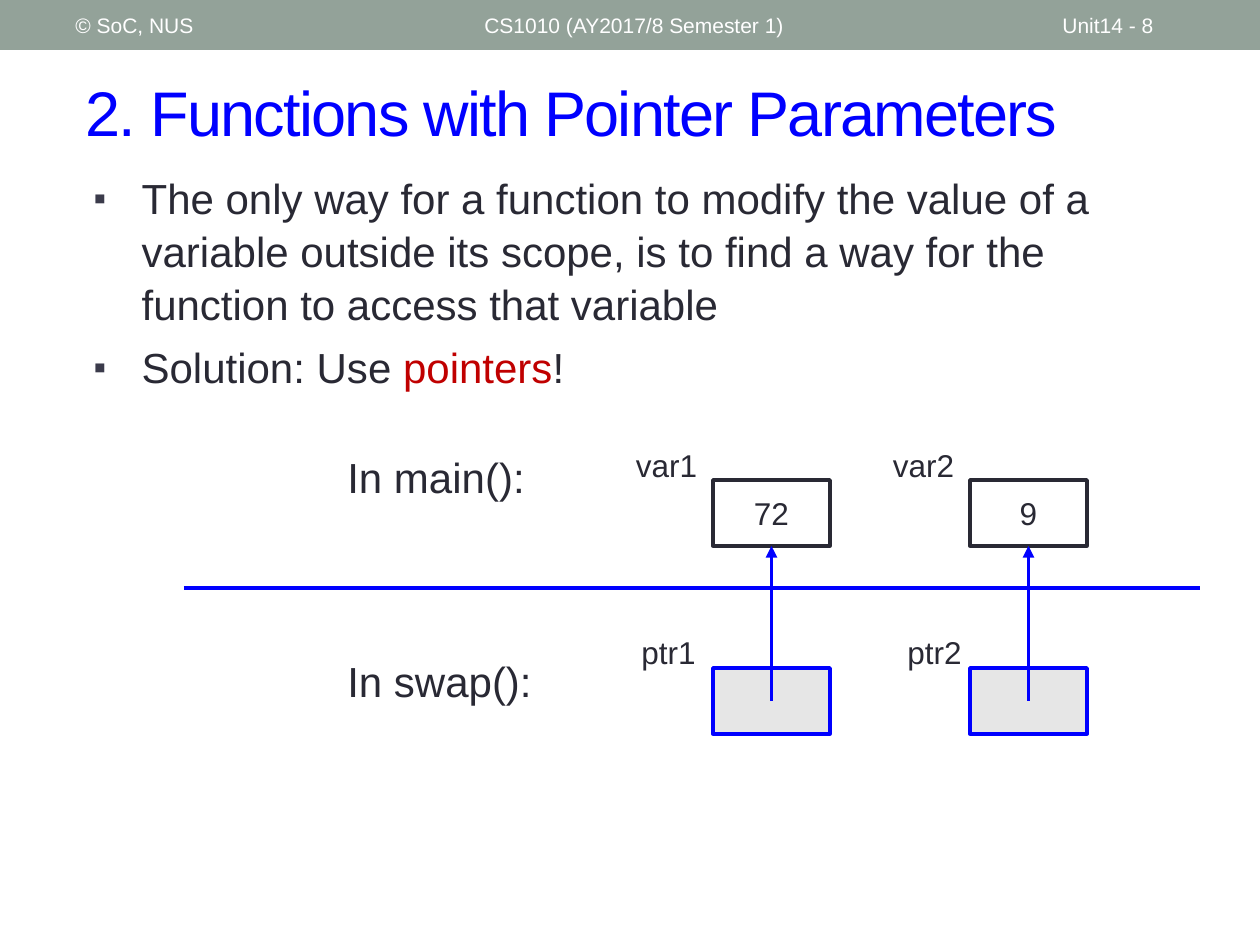
from lxml.etree import SubElement
from pptx import Presentation
from pptx.dml.color import RGBColor
from pptx.enum.shapes import MSO_CONNECTOR, MSO_SHAPE
from pptx.enum.text import MSO_ANCHOR, MSO_AUTO_SIZE, PP_ALIGN
from pptx.oxml.ns import qn
from pptx.util import Emu, Pt

INK, BLUE, RED, WHITE = "292934", "0000FF", "C00000", "FFFFFF"
BAND, GREY, BULLET = "93A299", "E6E6E6", "3B3B4B"


def px(length):
    """Turn pixels, 126 to the inch, into EMU."""
    return Emu(round(length * 914400 / 126))


def paint(color_format, color):
    """Set a colour from a hex string."""
    color_format.rgb = RGBColor.from_string(color)


def write(para, text, size=18, color=INK, font="Arial", spacing=None):
    """Add one formatted span of text to a paragraph."""
    span = para.add_run()
    span.text = text
    span.font.size = Pt(size)
    span.font.name = font
    paint(span.font.color, color)
    if spacing is not None:
        span.font._element.set("spc", str(spacing * 100))


class SlideBuilder:
    """Holds the style and the current slide."""

    def __init__(self, page):
        """Start on the given page."""
        self.page = page

    def place(self, shape, left, top, width, height):
        """Move and size a shape."""
        shape.left, shape.top = px(left), px(top)
        shape.width, shape.height = px(width), px(height)

    def title(self, text, *area):
        """Fill the title placeholder."""
        holder = self.page.shapes.title
        self.place(holder, *area)
        frame = holder.text_frame
        frame.vertical_anchor = MSO_ANCHOR.MIDDLE
        frame.auto_size = MSO_AUTO_SIZE.NONE
        para = frame.paragraphs[0]
        para.alignment = PP_ALIGN.LEFT
        write(para, text, size=36, color=BLUE, spacing=-1)

    def bullets(self, items, *area):
        """Fill the body placeholder with items made of (text, colour) spans."""
        holder = self.page.placeholders[1]
        self.place(holder, *area)
        frame = holder.text_frame
        frame.auto_size = MSO_AUTO_SIZE.NONE
        for index, spans in enumerate(items):
            para = frame.add_paragraph() if index else frame.paragraphs[0]
            para.line_spacing = 1.05
            para.space_before = Pt(6 if index else 0)
            self.bullet(para)
            for text, color in spans:
                write(para, text, size=24, color=color)

    def bullet(self, para):
        """Give a paragraph a hanging square bullet."""
        props = para._p.get_or_add_pPr()
        props.set("marL", str(px(48)))
        props.set("indent", str(-px(48)))
        SubElement(SubElement(props, qn("a:buClr")), qn("a:srgbClr"), val=BULLET)
        SubElement(props, qn("a:buSzPct"), val="85000")
        SubElement(props, qn("a:buFont"), typeface="Arial")
        SubElement(props, qn("a:buChar"), char="▪")

    def text(self, text, *area, align=PP_ALIGN.LEFT, anchor=MSO_ANCHOR.TOP, **style):
        """Add a text box with one paragraph."""
        box = self.page.shapes.add_textbox(*map(px, area))
        frame = box.text_frame
        frame.word_wrap = True
        frame.vertical_anchor = anchor
        para = frame.paragraphs[0]
        para.alignment = align
        write(para, text, **style)

    def rectangle(self, *area, fill=None, line=None):
        """Add a rectangle with an optional fill and outline."""
        box = self.page.shapes.add_shape(MSO_SHAPE.RECTANGLE, *map(px, area))
        box.shadow.inherit = False
        if fill:
            box.fill.solid()
            paint(box.fill.fore_color, fill)
        else:
            box.fill.background()
        if line:
            paint(box.line.color, line)
            box.line.width = Pt(2.08)
        else:
            box.line.fill.background()
        return box

    def line(self, *ends, target=None):
        """Add a blue line, with an arrowhead at the bottom of any target."""
        link = self.page.shapes.add_connector(MSO_CONNECTOR.STRAIGHT, *map(px, ends))
        paint(link.line.color, BLUE)
        link.line.width = Pt(2.25)
        if target is not None:
            link.end_connect(target, 2)
            SubElement(link.get_or_add_ln(), qn("a:tailEnd"), type="triangle")
        SubElement(link._element.spPr, qn("a:effectLst"))


def main():
    """Build the slide on pointer parameters."""
    deck = Presentation()
    deck.slide_width, deck.slide_height = px(1260), px(945)
    slide = SlideBuilder(deck.slides.add_slide(deck.slide_layouts[1]))

    slide.rectangle(0, 0, 1260, 50, fill=BAND)
    slide.title("2. Functions with Pointer Parameters", 73, 53, 1155, 116)
    for text, left, width in (
        ("CS1010 (AY2017/8 Semester 1)", 472, 567),
        ("Unit14 - 8", 1050, 147),
        ("© SoC, NUS", 63, 399),
    ):
        slide.text(text, left, 3, width, 45, anchor=MSO_ANCHOR.MIDDLE, size=12, color=WHITE)
    slide.bullets(
        (
            (("The only way for a function to modify the value of a variable outside "
              "its scope, is to find a way for the function to access that variable", INK),),
            (("Solution: Use ", INK), ("pointers", RED), ("!", INK)),
        ),
        81, 164, 1134, 687,
    )

    slide.text("In main():", 335, 445, 213, 63, size=24)
    slide.text("In swap():", 335, 649, 213, 63, size=24)
    slide.line(184, 588, 1200, 588)

    width, height, main_top, swap_top = 117, 66, 480, 668
    for number, value, left, pointer_left, pointer_width in (
        (1, "72", 713, 604, 129),
        (2, "9", 970, 879, 111),
    ):
        middle = left + width / 2
        variable = slide.rectangle(left, main_top, width, height, line=INK)
        slide.text(value, left + 20, main_top + 8, 77, 50, align=PP_ALIGN.CENTER)
        slide.text(f"var{number}", left - 92, main_top - 40, 91, 50, align=PP_ALIGN.CENTER)
        slide.rectangle(left, swap_top, width, height, fill=GREY, line=BLUE)
        slide.text(f"ptr{number}", pointer_left, swap_top - 41, pointer_width, 50,
                   align=PP_ALIGN.CENTER)
        slide.line(middle, swap_top + height / 2, middle, main_top + height, target=variable)

    deck.save("out.pptx")


if __name__ == "__main__":
    main()
